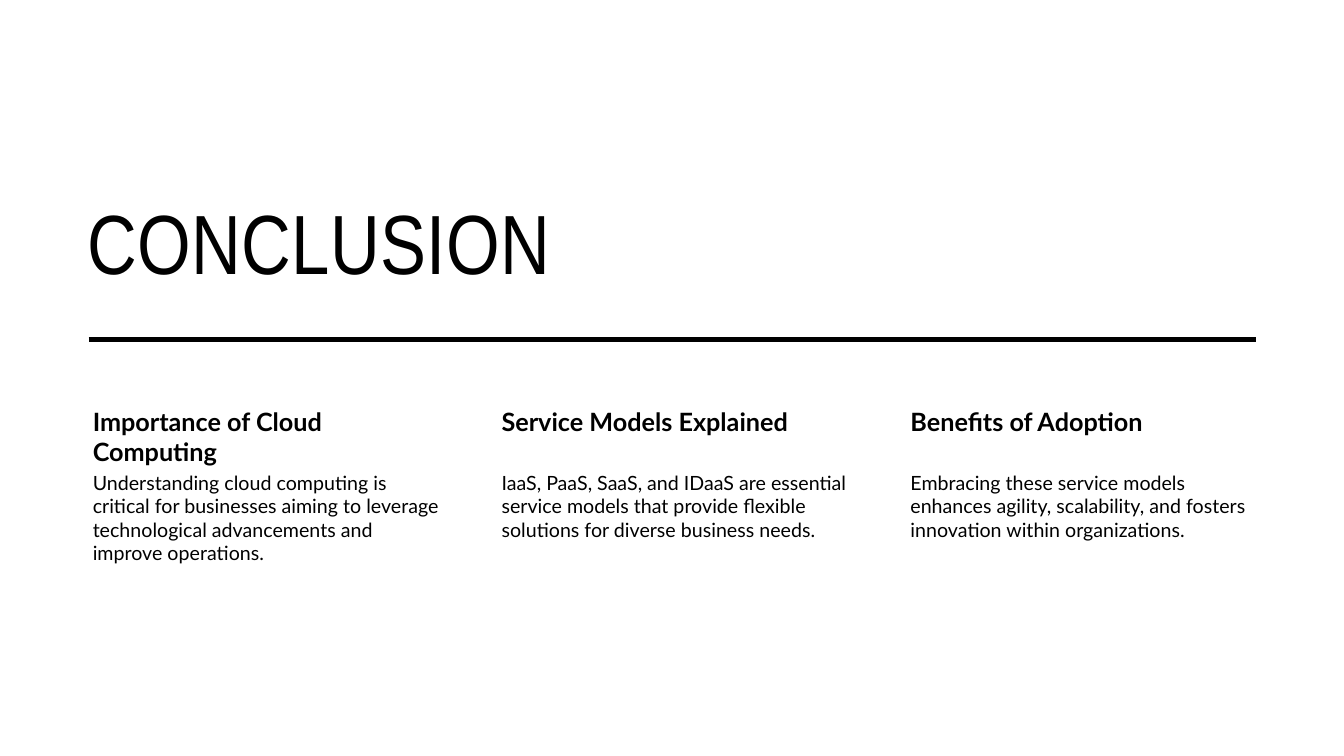
import pptx
import pptx.util
import pptx.dml.color
import pptx.enum.shapes
import pptx.enum.text
import pptx.oxml.ns
import lxml.etree

Inches = pptx.util.Inches
Pt = pptx.util.Pt
ANCHOR = pptx.enum.text.MSO_ANCHOR

TITLE = "CONCLUSION"
TAKEAWAYS = [
    ("Importance of Cloud Computing",
     "Understanding cloud computing is critical for businesses aiming to leverage "
     "technological advancements and improve operations."),
    ("Service Models Explained",
     "IaaS, PaaS, SaaS, and IDaaS are essential service models that provide flexible "
     "solutions for diverse business needs."),
    ("Benefits of Adoption",
     "Embracing these service models enhances agility, scalability, and fosters "
     "innovation within organizations."),
]
BLACK = pptx.dml.color.RGBColor(0, 0, 0)

LEFT = 0.77
COLUMN_WIDTH = 3.69
COLUMN_STEP = 4.055
HEADING_TOP = 4
HEADING_HEIGHT = 0.65
BODY_HEIGHT = 2.1


def add_text(slide, text, box, insets, font_name, size, bold=False, anchor=ANCHOR.TOP):
    frame = slide.shapes.add_textbox(*map(Inches, box)).text_frame
    frame.word_wrap = True
    frame.vertical_anchor = anchor
    (frame.margin_left, frame.margin_top,
     frame.margin_right, frame.margin_bottom) = map(Inches, insets)
    paragraph = frame.paragraphs[0]
    paragraph.text = text
    paragraph.font.name = font_name
    paragraph.font.size = Pt(size)
    paragraph.font.bold = bold
    paragraph.font.color.rgb = BLACK
    return paragraph


def main():
    deck = pptx.Presentation()
    deck.slide_width = Inches(13.33)
    deck.slide_height = Inches(7.5)
    slide = deck.slides.add_slide(deck.slide_layouts[6])

    title = add_text(slide, TITLE, (LEFT, 1.4, 8.74, 1.54), (0.1, 0.05, 0.1, 0.05),
                     "Arial Narrow", 60, anchor=ANCHOR.BOTTOM)
    title.runs[0].font._element.set("spc", "30")

    divider = slide.shapes.add_connector(
        pptx.enum.shapes.MSO_CONNECTOR.STRAIGHT,
        Inches(0.88), Inches(3.37), Inches(12.46), Inches(3.37))
    divider.line.color.rgb = BLACK
    divider.line.width = Pt(3.5)
    lxml.etree.SubElement(divider._element.spPr, pptx.oxml.ns.qn("a:effectLst"))

    for column, (heading, body) in enumerate(TAKEAWAYS):
        left = LEFT + column * COLUMN_STEP
        add_text(slide, heading, (left, HEADING_TOP, COLUMN_WIDTH, HEADING_HEIGHT),
                 (0.15, 0.03, 0.03, 0.03), "Lato", 18, bold=True)
        add_text(slide, body,
                 (left, HEADING_TOP + HEADING_HEIGHT, COLUMN_WIDTH, BODY_HEIGHT),
                 (0.15, 0.02, 0.02, 0.02), "Lato", 14)

    deck.save("out.pptx")


if __name__ == "__main__":
    main()
